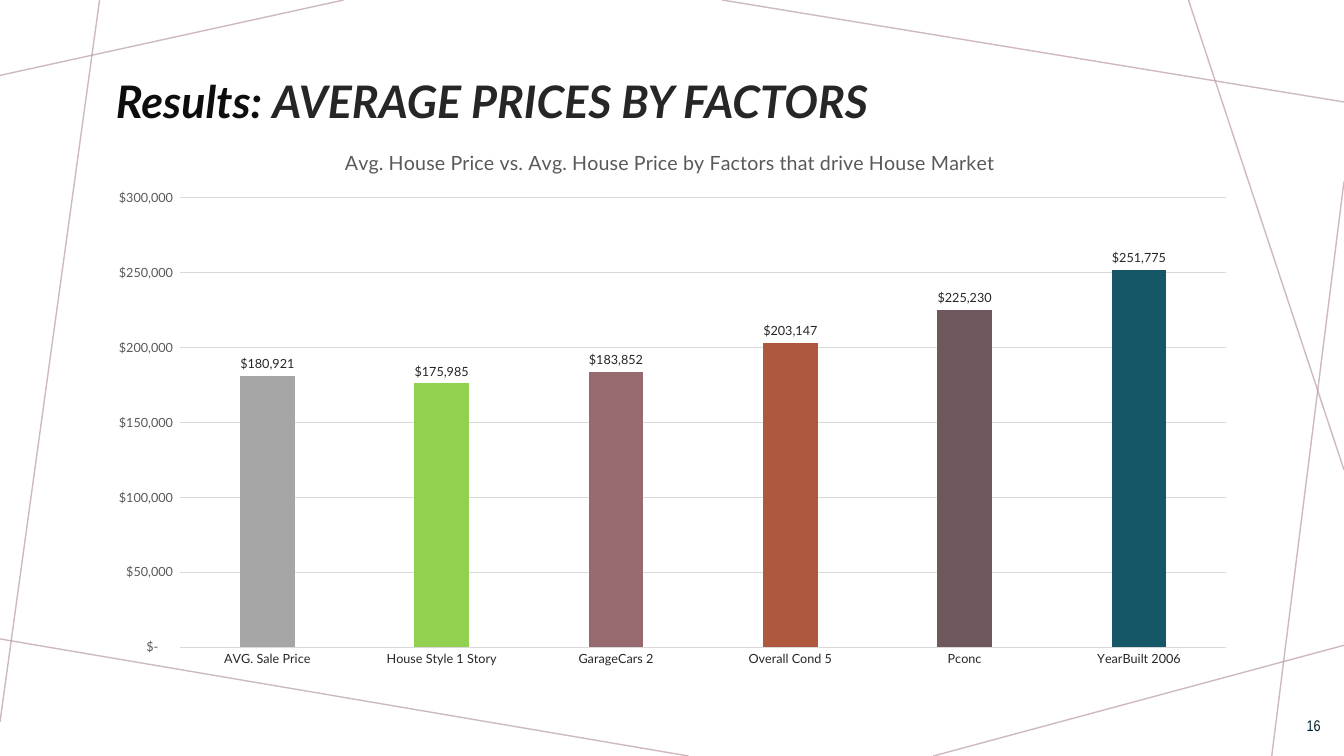
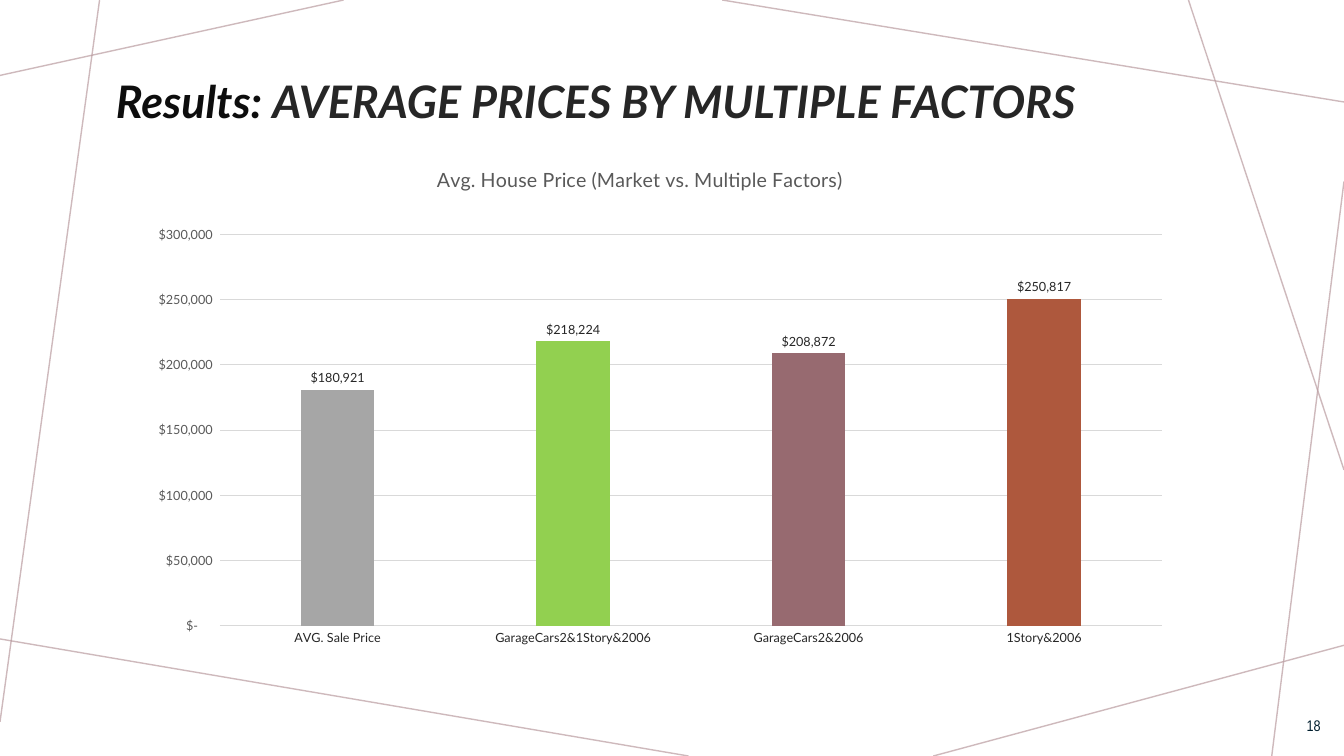
import pptx
import pptx.chart.data
import pptx.dml.color
import pptx.enum.chart
import pptx.enum.shapes
import pptx.enum.text
import pptx.oxml
import pptx.oxml.ns
import pptx.util
from lxml import etree

Cm = pptx.util.Cm
Pt = pptx.util.Pt
qn = pptx.oxml.ns.qn

WIDTH, HEIGHT = 33.87, 19.05
FONT = "Lato"
NUMBER_FONT = "Arial Narrow"
DOLLARS = r'_("$"* #,##0_);_("$"* \(#,##0\);_("$"* "-"??_);_(@_)'

COLORS = {
    "frame": "BA9CA0", "number": "001E2E", "lead": "0D0D0D", "title": "262626",
    "muted": "595959", "grid": "D9D9D9",
    "gray": "A6A6A6", "green": "92D050", "mauve": "976A70",
    "rust": "AE583D", "brown": "6F585B", "teal": "155767",
}
BAR_COLORS = ["gray", "green", "mauve", "rust", "brown", "teal"]

# Decorative lines: x and y of both ends, in cm
FRAME_LINES = [
    (8.66, 0, 0, 1.9), (2.51, 0, 0, 18.19),
    (17.35, HEIGHT, 0, 16.1), (WIDTH, 16.26, 23.52, HEIGHT),
    (WIDTH, 4.57, 32.05, HEIGHT), (WIDTH, 11.84, 29.95, 0),
    (WIDTH, 2.57, 18.2, 0),
]


def rgb(name):
    return pptx.dml.color.RGBColor.from_string(COLORS[name])


def style_font(font, size, color, name=FONT, bold=False, italic=False):
    font.name, font.size = name, Pt(size)
    font.bold, font.italic = bold, italic
    font.color.rgb = rgb(color)


def style_line(line, color, width):
    line.color.rgb = rgb(color)
    line.width = Pt(width)


class ResultsDeck:
    """Holds the shared style and the current slide."""

    def __init__(self):
        self.deck = pptx.Presentation()
        self.deck.slide_width, self.deck.slide_height = Cm(WIDTH), Cm(HEIGHT)
        self.page = None

    def add_page(self, number, title, title_width):
        self.page = self.deck.slides.add_slide(self.deck.slide_layouts[6])
        for ends in FRAME_LINES:
            self.add_frame_line(ends)
        self.add_number(number)
        self.add_title(title, title_width)

    def add_frame_line(self, ends):
        line = self.page.shapes.add_connector(
            pptx.enum.shapes.MSO_CONNECTOR.STRAIGHT, *map(Cm, ends))
        style_line(line.line, "frame", 1)
        # 70 % opacity, no shadow
        color = line.line.fill._xPr.find(".//" + qn("a:srgbClr"))
        etree.SubElement(color, qn("a:alpha"), val="70000")
        etree.SubElement(line._element.spPr, qn("a:effectLst"))

    def add_text_box(self, place):
        box = self.page.shapes.add_textbox(*map(Cm, place))
        box.text_frame.word_wrap = True
        return box.text_frame

    def add_number(self, number):
        frame = self.add_text_box((32.23, 17.78, 1.3, 1.02))
        frame.vertical_anchor = pptx.enum.text.MSO_ANCHOR.MIDDLE
        para = frame.paragraphs[0]
        para.text = str(number)
        para.alignment = pptx.enum.text.PP_ALIGN.RIGHT
        style_font(para.font, 11, "number", NUMBER_FONT)

    def add_title(self, title, width):
        para = self.add_text_box((2.67, 1.73, width, 1.63)).paragraphs[0]
        for text, color in (("Results: ", "lead"), (title, "title")):
            span = para.add_run()
            span.text = text
            style_font(span.font, 32, color, bold=True, italic=True)

    def add_price_chart(self, title, prices, place, plot_place):
        data = pptx.chart.data.CategoryChartData(number_format=DOLLARS)
        data.categories = list(prices)
        data.add_series("Series 1", list(prices.values()))
        chart = self.page.shapes.add_chart(
            pptx.enum.chart.XL_CHART_TYPE.COLUMN_CLUSTERED,
            *map(Cm, place), data).chart
        style_font(chart.font, 10, "title")
        chart.has_legend = False

        # Heading
        para = chart.chart_title.text_frame.paragraphs[0]
        para.text = title
        style_font(para.font, 14, "muted")
        chart.chart_title.include_in_layout = False

        self.style_axes(chart)
        self.style_bars(chart.plots[0])
        self.place_plot(chart, place, plot_place)

    def style_axes(self, chart):
        prices, factors = chart.value_axis, chart.category_axis
        for axis, color in ((prices, "muted"), (factors, "title")):
            axis.major_tick_mark = pptx.enum.chart.XL_TICK_MARK.NONE
            style_font(axis.tick_labels.font, 9, color)
        style_line(factors.format.line, "grid", 0.75)
        style_line(prices.major_gridlines.format.line, "grid", 0.75)
        prices.format.line.fill.background()
        prices.minimum_scale, prices.maximum_scale = 0, 300000
        prices.major_unit = 50000
        prices.tick_labels.number_format = DOLLARS
        prices.tick_labels.number_format_is_linked = False

    def style_bars(self, plot):
        plot.gap_width, plot.overlap = 219, -27
        plot.vary_by_categories = False
        series = plot.series[0]
        for index, color in enumerate(BAR_COLORS[:len(plot.categories)]):
            fill = series.points[index].format.fill
            fill.solid()
            fill.fore_color.rgb = rgb(color)
        labels = series.data_labels
        labels.show_value = True
        labels.position = pptx.enum.chart.XL_LABEL_POSITION.OUTSIDE_END
        labels.number_format = DOLLARS
        labels.number_format_is_linked = False
        style_font(labels.font, 9, "title")

    def place_plot(self, chart, place, plot_place):
        """Fix the inner plot area, given in cm on the slide."""
        left, top, width, height = place
        x, y, w, h = plot_place
        area = chart._chartSpace.chart.plotArea
        for old in area.findall(qn("c:layout")):
            area.remove(old)
        layout = etree.Element(qn("c:layout"))
        manual = etree.SubElement(layout, qn("c:manualLayout"))
        settings = {
            "layoutTarget": "inner", "xMode": "edge", "yMode": "edge",
            "x": (x - left) / width, "y": (y - top) / height,
            "w": w / width, "h": h / height,
        }
        for name, value in settings.items():
            etree.SubElement(manual, qn("c:" + name), val=str(value))
        area.insert(0, layout)


def main():
    results = ResultsDeck()

    # Single factors
    results.add_page(16, "AVERAGE PRICES BY FACTORS", 21.54)
    results.add_price_chart(
        "Avg. House Price vs. Avg. House Price by Factors that drive House Market",
        {"AVG. Sale Price": 180921, "House Style 1 Story": 175985,
         "GarageCars 2": 183852, "Overall Cond 5": 203147,
         "Pconc": 225230, "YearBuilt 2006": 251775},
        (2.31, 3.23, 29.16, 13.84), (4.54, 4.98, 26.36, 11.33))

    # Combined factors
    results.add_page(18, "AVERAGE PRICES BY MULTIPLE FACTORS", 26.9)
    results.add_price_chart(
        "Avg. House Price (Market vs. Multiple Factors)",
        {"AVG. Sale Price": 180921, "GarageCars2&1Story&2006": 218224,
         "GarageCars2&2006": 208872, "1Story&2006": 250817},
        (1.68, 3.66, 28.9, 13.4), (5.54, 5.91, 23.74, 9.86))

    results.deck.save("out.pptx")


if __name__ == "__main__":
    main()
